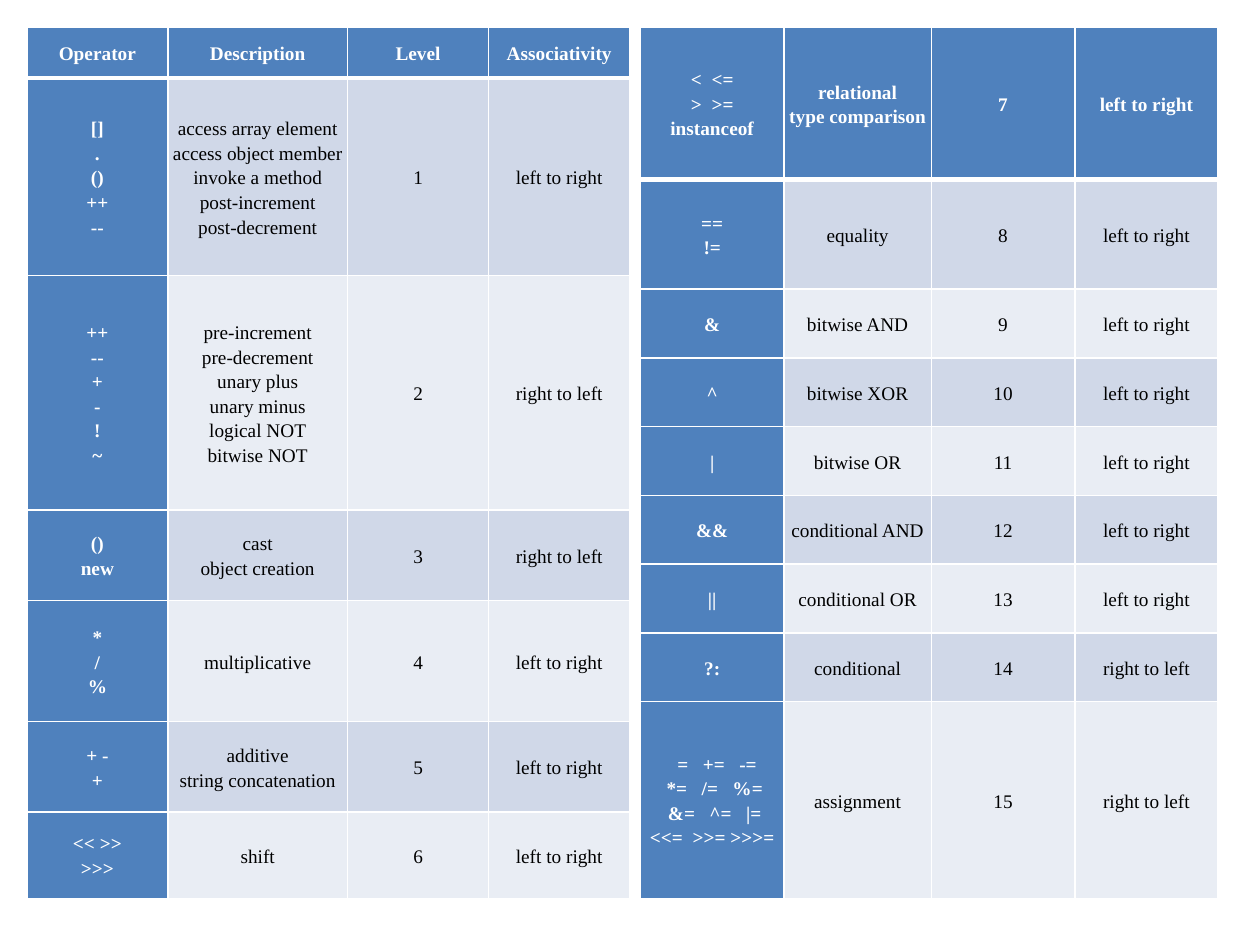
from lxml.etree import SubElement
from pptx import Presentation
from pptx.dml.color import RGBColor
from pptx.enum.text import MSO_ANCHOR, PP_ALIGN
from pptx.oxml.ns import qn
from pptx.util import Pt

HUES = {"head": "4F81BD", "odd": "D0D8E8", "even": "E9EDF4",
        "white": "FFFFFF", "black": "000000"}
FONT = "Times New Roman"
SIZE = 11
SPACE = 2.75  # width of one space at this size
LTR, RTL = "left to right", "right to left"

# Operator cells with set gaps: (indent, gap, words) per line, in spaces
COMPARE = [(0, 2, ["<", "<="]), (0, 2, [">", ">="]), (0, 1, ["instanceof"])]
ASSIGN = [(2, 3, ["=", "+=", "-="]), (1, 3, ["*=", "/=", "%="]),
          (1, 3, ["&=", "^=", "|="]), (0, 2, ["<<=", ">>= >>>="])]

# Rows: height, then the four cells
LEFT = [
    (29.3, "Operator", "Description", "Level", "Associativity"),
    (112.9, "[]\n.\n()\n++\n--",
     "access array element\naccess object member\ninvoke a method\n"
     "post-increment\npost-decrement", "1", LTR),
    (134, "++\n--\n+\n-\n!\n~",
     "pre-increment\npre-decrement\nunary plus\nunary minus\n"
     "logical NOT\nbitwise NOT", "2", RTL),
    (51.6, "()\nnew", "cast\nobject creation", "3", RTL),
    (69.3, "*\n/\n%", "multiplicative", "4", LTR),
    (51.6, "+ -\n+", "additive\nstring concatenation", "5", LTR),
    (49.5, "<< >>\n>>>", "shift", "6", LTR),
]
RIGHT = [
    (87.4, COMPARE, "relational\ntype comparison", "7", LTR),
    (62.5, "==\n!=", "equality", "8", LTR),
    (39.3, "&", "bitwise AND", "9", LTR),
    (39.3, "^", "bitwise XOR", "10", LTR),
    (39.3, "|", "bitwise OR", "11", LTR),
    (39.3, "&&", "conditional AND", "12", LTR),
    (39.3, "||", "conditional OR", "13", LTR),
    (39.3, "?:", "conditional", "14", RTL),
    (112.4, ASSIGN, "assignment", "15", RTL),
]


def color(name):
    return RGBColor.from_string(HUES[name])


def add_run(para, text, bold):
    run = para.add_run()
    run.text = text
    font = run.font
    font.name, font.size, font.bold = FONT, Pt(SIZE), bold
    font.color.rgb = color("white" if bold else "black")
    return run


def style(para):
    para.alignment = PP_ALIGN.CENTER
    para.line_spacing = 1.15


def add_text(para, text, bold, before):
    style(para)
    para.space_before = Pt(before)
    for i, line in enumerate(text.split("\n")):
        if i:
            para.add_line_break()
        add_run(para, line, bold)


def add_lines(frame, lines):
    for i, (indent, gap, words) in enumerate(lines):
        para = frame.add_paragraph() if i else frame.paragraphs[0]
        style(para)
        # Centred text moves by half of its margin
        para._p.get_or_add_pPr().set("marL", str(Pt(indent * SPACE)))
        for j, word in enumerate(words):
            if j:
                wide = add_run(para, " ", True)
                track = int((gap - 1) * SPACE * 100)
                wide._r.get_or_add_rPr().set("spc", str(track))
            add_run(para, word, True)


def add_edge(cell, side, width):
    line = SubElement(cell._tc.get_or_add_tcPr(), qn("a:ln" + side),
                      w=str(Pt(width)))
    fill = SubElement(line, qn("a:solidFill"))
    SubElement(fill, qn("a:srgbClr"), val=HUES["white"])


def set_cell(cell, text, row, col, before):
    cell.margin_left = cell.margin_right = Pt(2.16)
    cell.margin_top = cell.margin_bottom = Pt(2.16)
    cell.vertical_anchor = MSO_ANCHOR.MIDDLE
    # Edges come before the fill; a thick rule ends the top row
    thick = {("B", 0), ("T", 1)}
    for side in "LRTB":
        add_edge(cell, side, 3 if (side, row) in thick else 1)
    head = row == 0 or col == 0
    band = "odd" if row % 2 else "even"
    cell.fill.solid()
    cell.fill.fore_color.rgb = color("head" if head else band)
    if isinstance(text, list):
        add_lines(cell.text_frame, text)
    else:
        add_text(cell.text_frame.paragraphs[0], text, head, before)


def add_grid(slide, left, top, widths, rows, first):
    high = sum(row[0] for row in rows)
    shape = slide.shapes.add_table(len(rows), len(widths), Pt(left), Pt(top),
                                   Pt(sum(widths)), Pt(high))
    table = shape.table
    for col, width in zip(table.columns, widths):
        col.width = Pt(width)
    for r, (height, *texts) in enumerate(rows):
        table.rows[r].height = Pt(height)
        for c, text in enumerate(texts):
            set_cell(table.cell(r, c), text, r, c, 15 if r else first)


def main():
    deck = Presentation()
    deck.slide_width, deck.slide_height = Pt(720), Pt(540)
    slide = deck.slides.add_slide(deck.slide_layouts[6])
    # Levels 7 to 15, then levels 1 to 6 with the headings
    add_grid(slide, 366, 15.3, [82, 84.2, 82, 82], RIGHT, 15)
    add_grid(slide, 15.3, 15.3, [80.7, 102.6, 80.7, 80.7], LEFT, 0)
    deck.save("out.pptx")


main()
